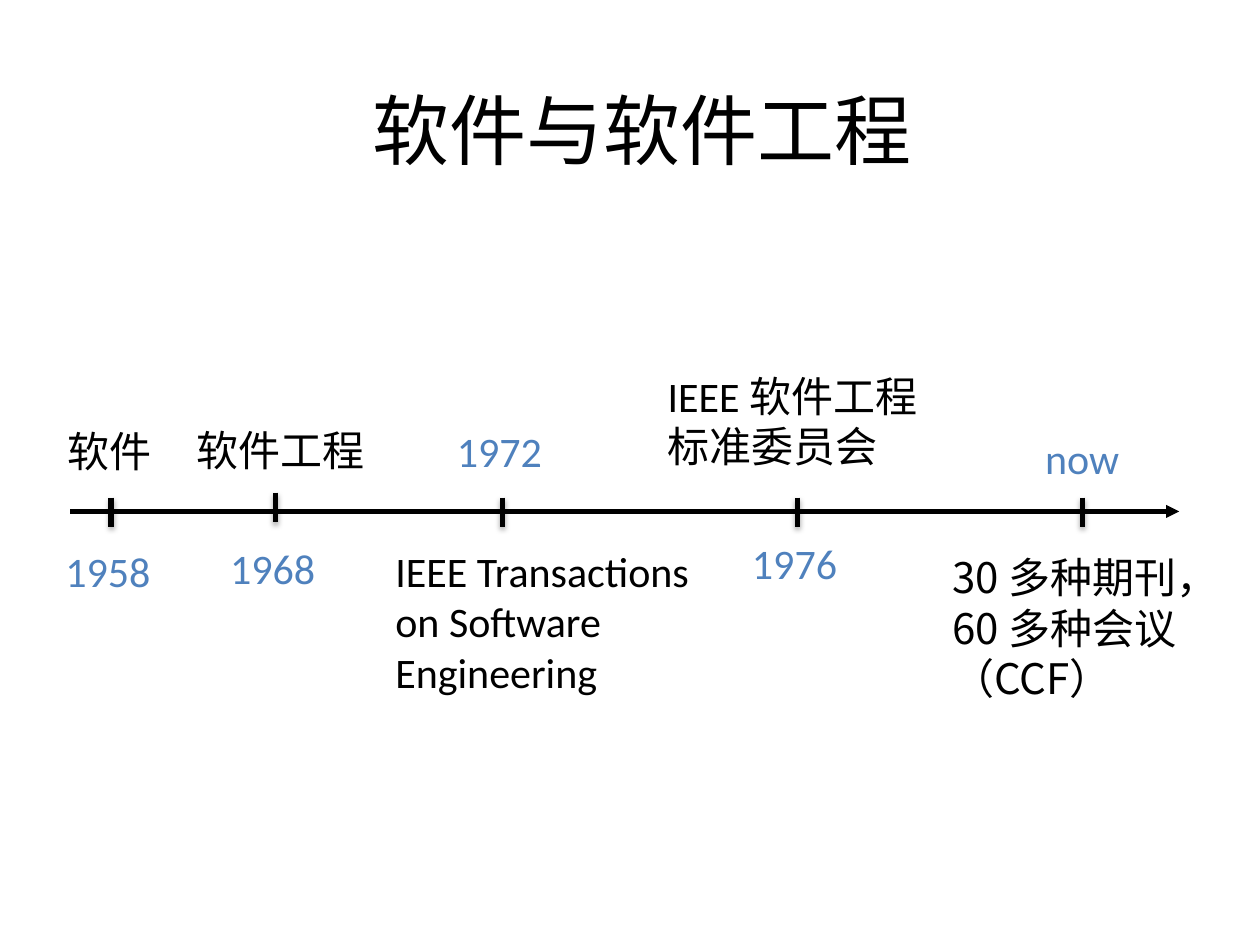
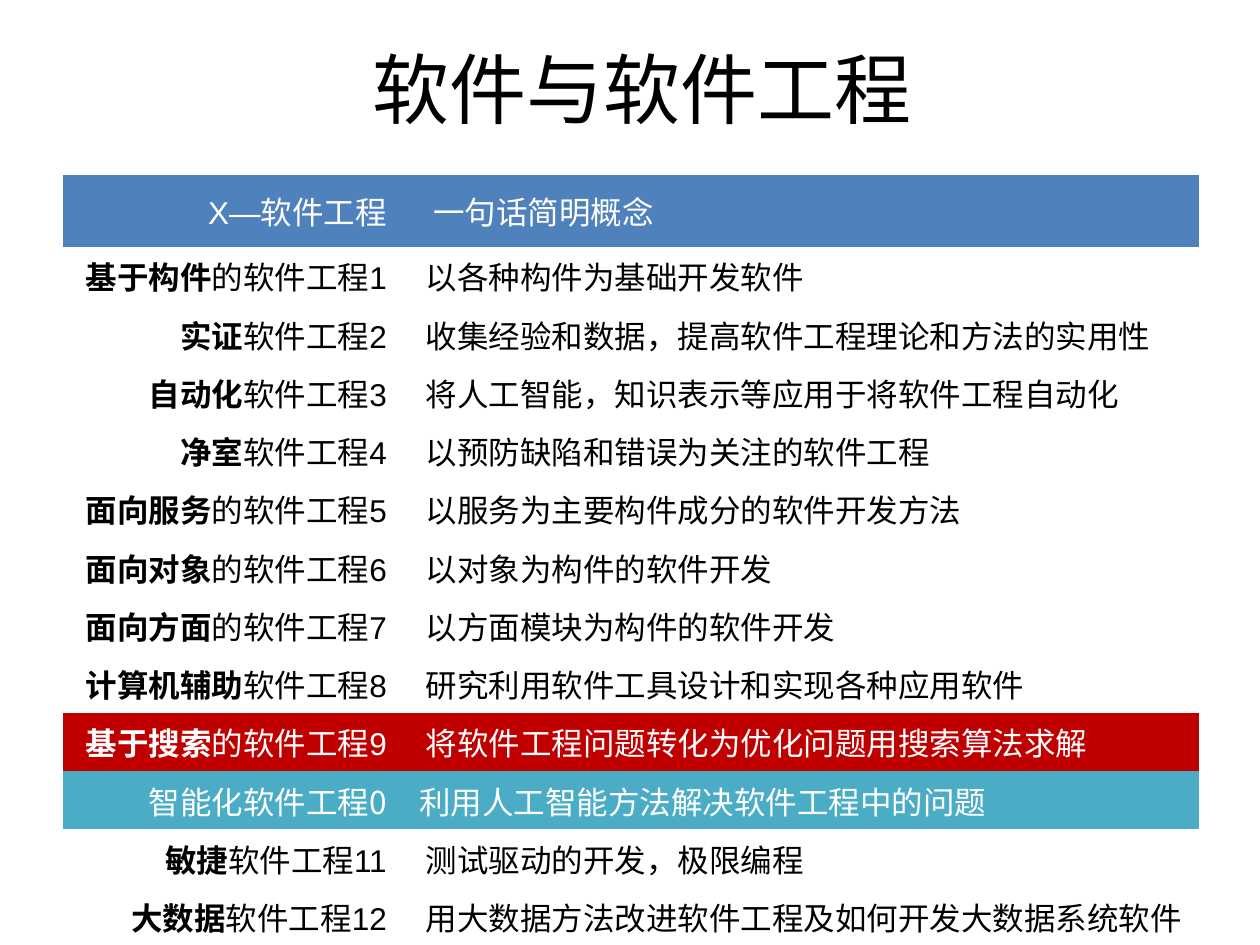
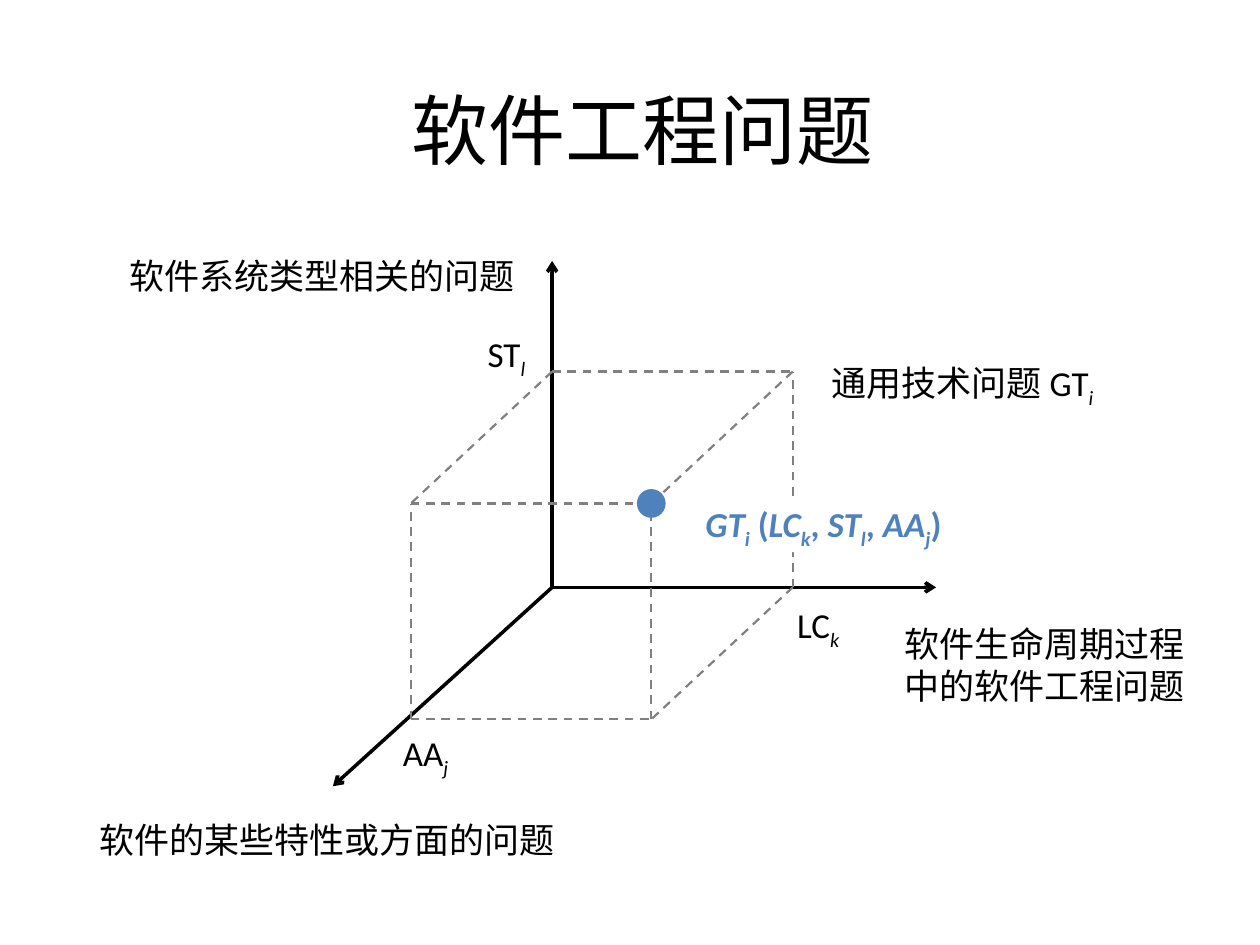
from itertools import product

from lxml.etree import SubElement
from pptx import Presentation
from pptx.dml.color import RGBColor
from pptx.enum.dml import MSO_LINE
from pptx.enum.shapes import MSO_CONNECTOR, MSO_SHAPE
from pptx.enum.text import MSO_ANCHOR, MSO_AUTO_SIZE, PP_ALIGN
from pptx.oxml.ns import qn
from pptx.util import Cm, Pt

COLORS = {
    "ink": "000000",
    "paper": "FFFFFF",
    "blue": "4F81BD",
    "red": "C00000",
    "teal": "4BACC6",
    "guide": "808080",
}
LATIN, TABLE_FONT, CJK = "Calibri", "Arial", "Noto Sans CJK SC"
NO_GRID_STYLE = "{2D5ABB26-0587-4C30-8999-92F81FD0307C}"

# Slide 1: positions in cm
AXIS_Y, AXIS_START, AXIS_END = 10.31, 1.42, 23.77
TICK_LENGTH = 0.59
MILESTONES = [
    dict(x=2.24, tick_top=10.03, date="1958", date_top=10.87, date_width=2.34,
         event="软件", event_box=(1.12, 8.46, 2.34, 1.27)),
    dict(x=5.56, tick_top=9.93, date="1968", date_top=10.82, date_width=2.34,
         event="软件工程", event_box=(3.71, 8.43, 4.01, 1.27)),
    dict(x=10.13, tick_top=10.03, date="1972", date_top=8.46, date_width=2.34,
         event="IEEE Transactions on Software Engineering",
         event_box=(7.72, 10.87, 6.6, 3.33)),
    dict(x=16.08, tick_top=10.03, date="1976", date_top=10.72, date_width=2.34,
         event="IEEE 软件工程标准委员会", event_box=(13.21, 7.34, 5.74, 2.31)),
    dict(x=21.82, tick_top=10.03, date="now", date_top=8.59, date_width=2.0,
         event="30 多种期刊，60 多种会议\n（CCF）",
         event_box=(18.95, 11.0, 5.74, 3.33), event_font=CJK),
]

# Slide 2: bold start, rest of the name, concept
HEADER = ("", "X—软件工程", "一句话简明概念")
FIELDS = [
    ("基于构件", "的软件工程1", "以各种构件为基础开发软件"),
    ("实证", "软件工程2", "收集经验和数据，提高软件工程理论和方法的实用性"),
    ("自动化", "软件工程3", "将人工智能，知识表示等应用于将软件工程自动化"),
    ("净室", "软件工程4", "以预防缺陷和错误为关注的软件工程"),
    ("面向服务", "的软件工程5", "以服务为主要构件成分的软件开发方法"),
    ("面向对象", "的软件工程6", "以对象为构件的软件开发"),
    ("面向方面", "的软件工程7", "以方面模块为构件的软件开发"),
    ("计算机辅助", "软件工程8", "研究利用软件工具设计和实现各种应用软件"),
    ("基于搜索", "的软件工程9", "将软件工程问题转化为优化问题用搜索算法求解"),
    ("", "智能化软件工程0", "利用人工智能方法解决软件工程中的问题"),
    ("敏捷", "软件工程11", "测试驱动的开发，极限编程"),
    ("大数据", "软件工程12", "用大数据方法改进软件工程及如何开发大数据系统软件"),
]
PLAIN_ROW = dict(fill=None, color="ink", font=TABLE_FONT, indent=0.53)
SPECIAL_ROWS = {
    0: dict(fill="blue", color="paper", indent=0.68),
    9: dict(fill="red", color="paper"),
    10: dict(fill="teal", color="paper", font=CJK, indent=0.4),
}
COLUMN_WIDTHS = (6.78, 16.13)
HEADER_HEIGHT, ROW_HEIGHT = 1.45, 1.17


def sub(letter):
    return letter, dict(italic=True, subscript=True)


def upright(text):
    return text, dict(italic=False)


# Slide 3: the cube spans one step along each axis from the origin
ORIGIN = (11.13, 11.84)
STEPS = dict(lifecycle=(4.85, 0), system_type=(0, -4.35), aspect=(-2.85, 2.66))
AXIS_TIPS = [(11.13, 5.26), (18.87, 11.84), (6.71, 15.85)]
AXIS_TITLES = [
    ("软件生命周期过程中的软件工程问题", (17.98, 12.42, 6.65, 1.96)),
    ("软件的某些特性或方面的问题", (1.75, 16.38, 10.01, 1.12)),
    ("软件系统类型相关的问题", (2.36, 5.0, 8.61, 1.12)),
    (["通用技术问题 GT", sub("i")], (16.51, 7.16, 7.65, 1.12)),
]
AXIS_MARKS = [
    (["ST", sub("l")], (9.58, 6.58, 1.27, 1.12)),
    (["LC", sub("k")], (15.82, 12.04, 1.4, 1.12)),
    (["AA", sub("j")], (7.87, 14.63, 1.42, 1.12)),
]
POINT_NAME = ["GT", sub("i"), upright(" ("), "LC", sub("k"), upright(", "),
              "ST", sub("l"), upright(", "), "AA", sub("j"), upright(")")]
POINT_NAME_BOX = (13.97, 10.01, 5.59, 1.12)
POINT_SIZE = 0.58


def rgb(name):
    return RGBColor.from_string(COLORS[name])


def cm_all(values):
    return [Cm(value) for value in values]


def write(frame, content, size=20, color="ink", font=LATIN, bold=None,
          italic=None, align=None):
    """Fill a text frame from a string, or from strings and (text, format) runs."""
    paragraphs = ([[line] for line in content.split("\n")]
                  if isinstance(content, str) else [content])
    for index, pieces in enumerate(paragraphs):
        paragraph = frame.add_paragraph() if index else frame.paragraphs[0]
        paragraph.alignment = align
        for piece in pieces:
            text, change = (piece, {}) if isinstance(piece, str) else piece
            run = paragraph.add_run()
            run.text = text
            run.font.size = Pt(size)
            run.font.name = font
            run.font.color.rgb = rgb(color)
            run.font.bold = change.get("bold", bold)
            run.font.italic = change.get("italic", italic)
            if change.get("subscript"):
                run._r.get_or_add_rPr().set("baseline", "-25000")


def add_label(slide, content, box, wrap=True, **style):
    frame = slide.shapes.add_textbox(*cm_all(box)).text_frame
    frame.word_wrap = wrap
    frame.auto_size = MSO_AUTO_SIZE.SHAPE_TO_FIT_TEXT
    write(frame, content, **style)


def add_line(slide, start, end, width, color="ink", dash=None, arrow=None,
             shadow=False):
    line = slide.shapes.add_connector(MSO_CONNECTOR.STRAIGHT,
                                      *cm_all((*start, *end)))
    line.line.width = Pt(width)
    line.line.color.rgb = rgb(color)
    if dash:
        line.line.dash_style = dash
    properties = line._element.spPr
    if arrow:
        SubElement(properties.find(qn("a:ln")), qn("a:tailEnd"), type=arrow)
    effects = SubElement(properties, qn("a:effectLst"))
    if shadow:
        outer = SubElement(effects, qn("a:outerShdw"), blurRad=str(Pt(3.1)),
                           dist=str(Pt(1.8)), dir="5400000", rotWithShape="0")
        tint = SubElement(outer, qn("a:srgbClr"), val=COLORS["ink"])
        SubElement(tint, qn("a:alpha"), val="35000")


def add_filled(slide, kind, box, color):
    shape = slide.shapes.add_shape(kind, *cm_all(box))
    shape.shadow.inherit = False
    shape.fill.solid()
    shape.fill.fore_color.rgb = rgb(color)
    shape.line.fill.background()
    return shape


def add_titled_slide(prs, text, top=0.76):
    slide = prs.slides.add_slide(prs.slide_layouts[5])
    title = slide.shapes.title
    title.left, title.top, title.width, title.height = cm_all(
        (1.75, top, 22.4, 3.68))
    title.text_frame.vertical_anchor = MSO_ANCHOR.MIDDLE
    write(title.text_frame, text, size=44, align=PP_ALIGN.CENTER)
    return slide


def build_timeline(prs):
    slide = add_titled_slide(prs, "软件与软件工程")
    add_line(slide, (AXIS_START, AXIS_Y), (AXIS_END, AXIS_Y), 2.5,
             arrow="triangle")
    for stone in MILESTONES:
        x, top, width = stone["x"], stone["tick_top"], stone["date_width"]
        add_line(slide, (x, top), (x, top + TICK_LENGTH), 3, shadow=True)
        add_label(slide, stone["date"],
                  (x - width / 2, stone["date_top"], width, 1.27),
                  size=24, color="blue")
        add_label(slide, stone["event"], stone["event_box"], size=24,
                  font=stone.get("event_font", LATIN))


def build_field_table(prs):
    slide = add_titled_slide(prs, "软件与软件工程", top=-0.08)
    rows = [HEADER, *FIELDS]
    height = HEADER_HEIGHT + ROW_HEIGHT * len(FIELDS)
    table = slide.shapes.add_table(
        len(rows), 2, *cm_all((1.27, 3.53, sum(COLUMN_WIDTHS), height))).table
    table._tbl.tblPr.find(qn("a:tableStyleId")).text = NO_GRID_STYLE
    table.first_row = table.horz_banding = False
    for column, width in zip(table.columns, COLUMN_WIDTHS):
        column.width = Cm(width)
    for index, (stem, rest, concept) in enumerate(rows):
        look = {**PLAIN_ROW, **SPECIAL_ROWS.get(index, {})}
        table.rows[index].height = Cm(ROW_HEIGHT if index else HEADER_HEIGHT)
        name = [(stem, dict(bold=True)), rest] if stem else rest
        name_cell, concept_cell = table.rows[index].cells
        concept_cell.margin_left = Cm(look["indent"])
        for cell, content, align in ((name_cell, name, PP_ALIGN.RIGHT),
                                     (concept_cell, concept, PP_ALIGN.LEFT)):
            if look["fill"]:
                cell.fill.solid()
                cell.fill.fore_color.rgb = rgb(look["fill"])
            else:
                cell.fill.background()
            cell.vertical_anchor = MSO_ANCHOR.TOP if index else MSO_ANCHOR.MIDDLE
            write(cell.text_frame, content, size=18, color=look["color"],
                  font=look["font"], bold=False, align=align)


def cube_corner(steps_taken):
    """Place the corner reached by taking 0 or 1 step along each axis."""
    return tuple(
        ORIGIN[side] + sum(taken * step[side]
                           for taken, step in zip(steps_taken, STEPS.values()))
        for side in (0, 1))


def build_problem_space(prs):
    slide = add_titled_slide(prs, "软件工程问题")
    for tip in AXIS_TIPS:
        add_line(slide, ORIGIN, tip, 2, arrow="arrow")
    for corner in product((0, 1), repeat=3):
        for axis in range(3):
            if any(corner) and not corner[axis]:
                neighbour = corner[:axis] + (1,) + corner[axis + 1:]
                add_line(slide, cube_corner(corner), cube_corner(neighbour),
                         1.25, color="guide", dash=MSO_LINE.DASH)
    for title, box in AXIS_TITLES:
        add_label(slide, title, box)
    x, y = cube_corner((1, 1, 1))
    add_filled(slide, MSO_SHAPE.OVAL, (x - POINT_SIZE / 2, y - POINT_SIZE / 2,
                                       POINT_SIZE, POINT_SIZE), "blue")
    plate = add_filled(slide, MSO_SHAPE.RECTANGLE, POINT_NAME_BOX, "paper")
    plate.text_frame.word_wrap = True
    plate.text_frame.vertical_anchor = MSO_ANCHOR.TOP
    write(plate.text_frame, POINT_NAME, color="blue", bold=True, italic=True,
          align=PP_ALIGN.LEFT)
    for mark, box in AXIS_MARKS:
        add_label(slide, mark, box, wrap=False)


def main():
    prs = Presentation()
    prs.slide_width, prs.slide_height = Cm(25.4), Cm(19.05)
    build_timeline(prs)
    build_field_table(prs)
    build_problem_space(prs)
    prs.save("out.pptx")


if __name__ == "__main__":
    main()
